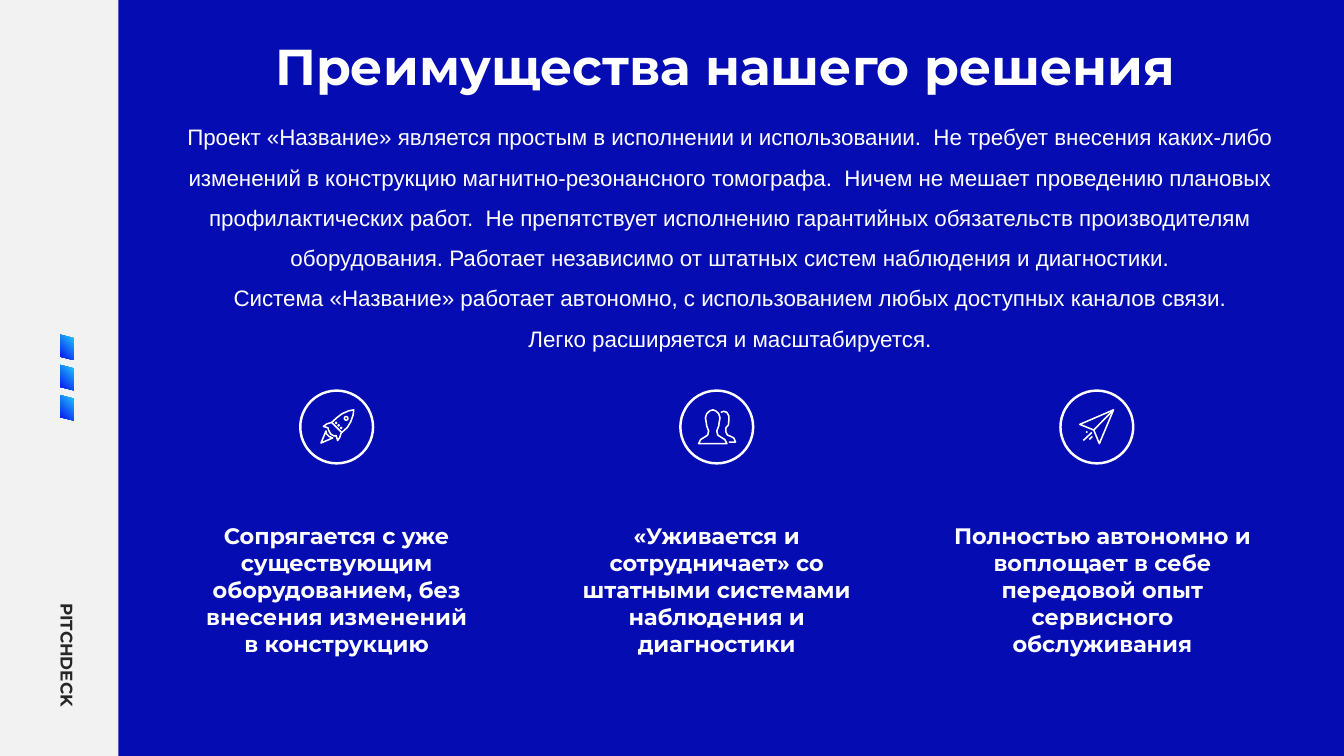
from math import cos, pi, sin

from pptx import Presentation
from pptx.dml.color import RGBColor
from pptx.enum.shapes import MSO_SHAPE
from pptx.enum.text import PP_ALIGN
from pptx.util import Pt

WHITE = RGBColor(0xFF, 0xFF, 0xFF)
BLUE = RGBColor(0x05, 0x0D, 0xB2)
LIGHT_GREY = RGBColor(0xF2, 0xF2, 0xF2)
DARK_GREY = RGBColor(0x26, 0x26, 0x26)
CYAN = RGBColor(0x20, 0xCA, 0xFF)
BRIGHT_BLUE = RGBColor(0x07, 0x12, 0xED)

presentation = Presentation()
presentation.slide_width, presentation.slide_height = Pt(960), Pt(540)
slide = presentation.slides.add_slide(presentation.slide_layouts[6])


def add_text(box, paragraphs, size, font="Montserrat", bold=True,
             color=WHITE, align=PP_ALIGN.CENTER, spacing=None):
    label = slide.shapes.add_textbox(*map(Pt, box))
    frame = label.text_frame
    frame.word_wrap = True
    frame.text = "\n".join(paragraphs)
    for paragraph in frame.paragraphs:
        paragraph.alignment = align
        paragraph.line_spacing = spacing
        paragraph.font.name = font
        paragraph.font.size = Pt(size)
        paragraph.font.bold = bold
        paragraph.font.color.rgb = color
    return label


def ring(x, y, radius):
    return [(x + radius * cos(i * pi / 6), y + radius * sin(i * pi / 6)) for i in range(12)]


# Background and side bar
for width, color in ((960, BLUE), (84.5, LIGHT_GREY)):
    panel = slide.shapes.add_shape(MSO_SHAPE.RECTANGLE, 0, 0, Pt(width), Pt(540))
    panel.shadow.inherit = False
    panel.fill.solid()
    panel.fill.fore_color.rgb = color
    panel.line.fill.background()

# Title and description
add_text((115, 21.6, 806, 51), ["Преимущества нашего решения"], 36)
add_text((102, 75, 839, 179), [
    "Проект «Название» является простым в исполнении и использовании.  "
    "Не требует внесения каких-либо изменений в конструкцию магнитно-резонансного томографа.  "
    "Ничем не мешает проведению плановых профилактических работ.  "
    "Не препятствует исполнению гарантийных обязательств производителям оборудования. "
    "Работает независимо от штатных систем наблюдения и диагностики.",
    "Система «Название» работает автономно, с использованием любых доступных каналов связи.",
    "Легко расширяется и масштабируется.",
], 16, font="Arial", bold=False, spacing=1.5)

# Icon outlines: (closed, vertices) in tenths of a point from the circle's centre
rocket = [
    (True, [(122, -122), (86, -115), (40, -95), (4, -68), (-36, -32),
            (36, 40), (76, 4), (100, -36), (118, -86)]),
    (False, [(-36, -32), (-70, -22), (-94, -4), (-61, 7), (-58, 22), (-43, 50),
             (-18, 65), (-4, 61), (7, 97), (22, 75), (32, 43)]),
    (True, [(-76, 29), (-112, 115), (-29, 79), (-54, 68), (-72, 50)]),
    (True, ring(68, -61, 13)),
    *[(True, ring(x, y, 3)) for x, y in ((-4, -29), (14, -11), (32, 7))],
]
people = [
    (True, [(-130, 119), (-115, 90), (-86, 72), (-65, 58), (-58, 29), (-72, -7),
            (-76, -36), (-81, -65), (-72, -94), (-50, -115), (-29, -122),
            (-8, -115), (14, -94), (23, -65), (18, -36), (14, -7), (0, 29),
            (7, 58), (28, 72), (57, 90), (72, 119)]),
    (False, [(29, -104), (50, -112), (72, -104), (86, -79), (86, -43), (83, -14),
             (65, 7), (65, 36), (76, 58), (101, 68), (122, 79), (134, 108), (86, 108)]),
]
paper_plane = [
    (True, [(119, -122), (-122, -18), (-22, 22), (18, 119)]),
    (False, [(-22, 22), (119, -122)]),
    (False, [(-32, 68), (-54, 90)]),
    (False, [(-36, 40), (-97, 97)]),
    (False, [(-68, 32), (-76, 40)]),
]

# Three advantages: circled icon above its caption
advantages = [
    (rocket, 134, 213,
     "Сопрягается с уже существующим оборудованием, без внесения изменений в конструкцию"),
    (people, 405.5, 213,
     "«Уживается и сотрудничает» со штатными системами наблюдения и диагностики"),
    (paper_plane, 674, 227,
     "Полностью автономно и воплощает в себе передовой опыт сервисного обслуживания"),
]
for column, (icon, caption_left, caption_width, caption) in enumerate(advantages):
    center_x, center_y = 240.5 + 271.5 * column, 305
    circle = slide.shapes.add_shape(
        MSO_SHAPE.OVAL, Pt(center_x - 26), Pt(center_y - 26), Pt(52), Pt(52))
    first_vertex = icon[0][1][0]
    builder = slide.shapes.build_freeform(*first_vertex, scale=Pt(0.1))
    for closed, vertices in icon:
        builder.move_to(*vertices[0])
        builder.add_line_segments(vertices[1:], close=closed)
    drawing = builder.convert_to_shape(Pt(center_x), Pt(center_y))
    for outline, weight in ((circle, 1.75), (drawing, 1.1)):
        outline.shadow.inherit = False
        outline.fill.background()
        outline.line.color.rgb = WHITE
        outline.line.width = Pt(weight)
    add_text((caption_left, 369.5, caption_width, 104), [caption], 16)

# Side bar label and accent marks
side_label = add_text((-2, 463, 100, 21.6), ["PITCHDECK"], 12,
                      color=DARK_GREY, align=PP_ALIGN.LEFT)
side_label.rotation = 90
for row in range(3):
    mark = slide.shapes.add_shape(
        MSO_SHAPE.PARALLELOGRAM, Pt(38.9), Pt(243.4 + 21.6 * row), Pt(18), Pt(9.4))
    mark.rotation = 90
    mark.adjustments[0] = 0.25
    mark.shadow.inherit = False
    mark.line.fill.background()
    mark.fill.gradient()
    mark.fill.gradient_angle = 315
    for stop, color, position in zip(mark.fill.gradient_stops, (CYAN, BRIGHT_BLUE), (0.01, 1)):
        stop.color.rgb = color
        stop.position = position

presentation.save("out.pptx")
